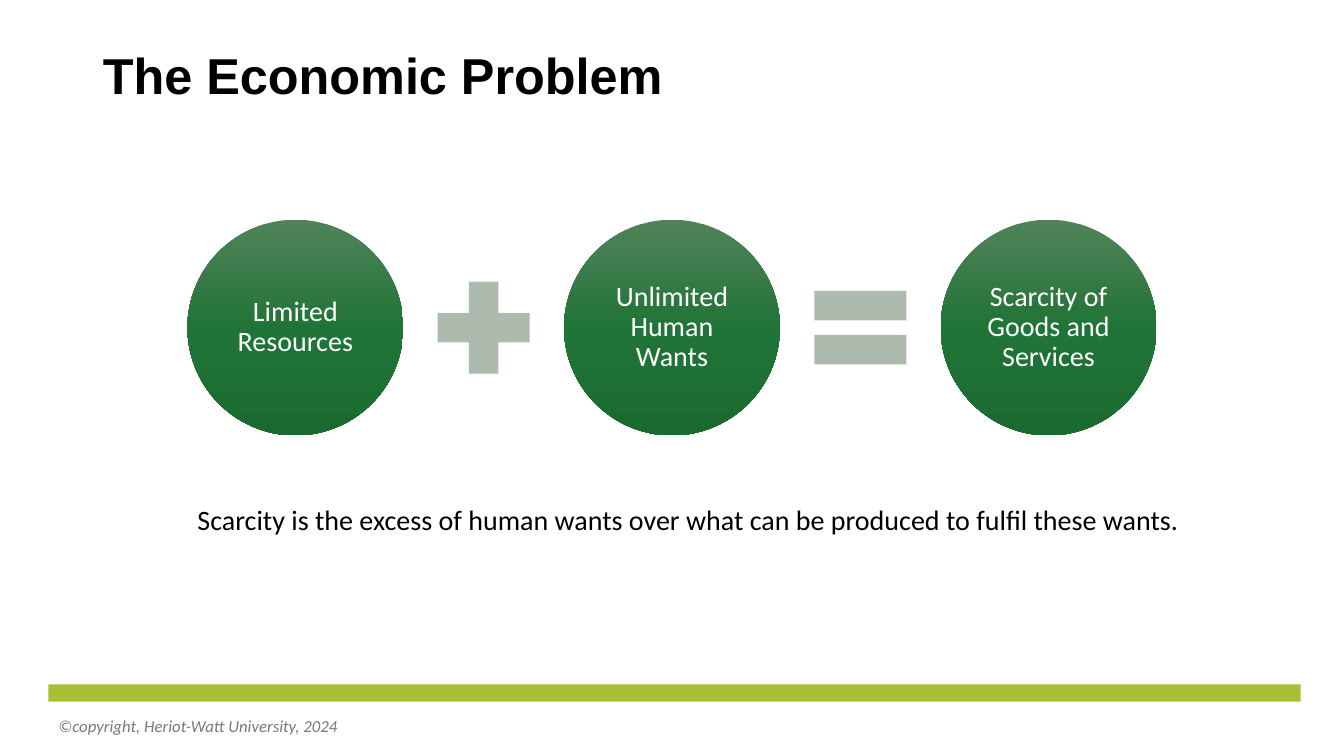
from copy import deepcopy

from pptx import Presentation
from pptx.dml.color import RGBColor
from pptx.enum.shapes import MSO_SHAPE
from pptx.enum.text import MSO_ANCHOR, MSO_AUTO_SIZE, PP_ALIGN
from pptx.util import Inches, Pt

OVAL, RECTANGLE = MSO_SHAPE.OVAL, MSO_SHAPE.RECTANGLE
PLUS, EQUALS = MSO_SHAPE.MATH_PLUS, MSO_SHAPE.MATH_EQUAL
MIDDLE, TOP = MSO_ANCHOR.MIDDLE, MSO_ANCHOR.TOP
LEFT, CENTER = PP_ALIGN.LEFT, PP_ALIGN.CENTER
NO_AUTOFIT = MSO_AUTO_SIZE.NONE

TITLE_ONLY = 5
WIDTH, HEIGHT = 13.33, 7.5
COLORS = {
    "title": "000000",
    "body": "000000",
    "term": "FFFFFF",
    "operator": "ADBBAF",
    "bar": "A8BF33",
    "copyright": "797979",
}
TERM_GRADIENT = [(0, "51825A"), (0.5, "217437"), (1, "1A6A30")]
TERMS = ["Limited Resources", "Unlimited Human Wants", "Scarcity of Goods and Services"]
OPERATORS = [PLUS, EQUALS]


def write(shape, text, size, color, font="Calibri", align=LEFT, anchor=MIDDLE,
          spacing=1.0, bold=False, italic=False):
    frame = shape.text_frame
    frame.text = text
    frame.word_wrap = True
    frame.auto_size = NO_AUTOFIT
    frame.vertical_anchor = anchor
    paragraph = frame.paragraphs[0]
    paragraph.alignment = align
    paragraph.line_spacing = spacing
    style = paragraph.runs[0].font
    style.name, style.size = font, Pt(size)
    style.bold, style.italic = bold, italic
    style.color.rgb = RGBColor.from_string(COLORS[color])


def add_plain_shape(slide, preset, box):
    shape = slide.shapes.add_shape(preset, *map(Inches, box))
    shape.shadow.inherit = False
    shape.line.fill.background()
    return shape


def add_solid_shape(slide, preset, box, color):
    shape = add_plain_shape(slide, preset, box)
    shape.fill.solid()
    shape.fill.fore_color.rgb = RGBColor.from_string(COLORS[color])


def add_text(slide, box, text, size, color, **style):
    write(slide.shapes.add_textbox(*map(Inches, box)), text, size, color, **style)


def add_footer(slide, left, top, width, height):
    bar_height = 0.28 * height
    add_solid_shape(slide, RECTANGLE, (left, top, width, bar_height), "bar")
    add_text(slide, (left, top + 0.35 * height, 0.36 * width, 0.65 * height),
             "©copyright, Heriot-Watt University, 2024", 12, "copyright", italic=True)


def add_title(slide, left, top, width, height):
    title = slide.shapes.title
    title.left, title.top, title.width, title.height = map(
        Inches, (left, top, width, height))
    write(title, "The Economic Problem", 36, "title", font="Arial",
          spacing=0.9, bold=True)


def add_term(slide, box, text):
    circle = add_plain_shape(slide, OVAL, box)
    circle.fill.gradient()
    circle.fill.gradient_angle = 270
    stops = circle.fill.gradient_stops
    first = stops[0]._gs
    first.addnext(deepcopy(first))
    for stop, (position, color) in zip(circle.fill.gradient_stops, TERM_GRADIENT):
        stop.position = position
        stop.color.rgb = RGBColor.from_string(color)
    frame = circle.text_frame
    frame.margin_left = frame.margin_right = Inches(0.03)
    frame.margin_top = frame.margin_bottom = Inches(0.03)
    write(circle, text, 20, "term", align=CENTER, spacing=0.9)


def add_equation(slide, left, top, width, diameter):
    pitch = (width - diameter) / (len(TERMS) - 1)
    for column, term in enumerate(TERMS):
        add_term(slide, (left + column * pitch, top, diameter, diameter), term)
    side = 0.58 * diameter
    offset = (pitch + diameter - side) / 2
    for column, operator in enumerate(OPERATORS):
        box = (left + column * pitch + offset, top + (diameter - side) / 2, side, side)
        add_solid_shape(slide, operator, box, "operator")


def main():
    deck = Presentation()
    deck.slide_width, deck.slide_height = Inches(WIDTH), Inches(HEIGHT)
    slide = deck.slides.add_slide(deck.slide_layouts[TITLE_ONLY])
    add_footer(slide, 0.48, 6.79, 12.42, 0.61)
    add_title(slide, 0.92, 0.49, 11.5, 0.57)
    add_equation(slide, 1.86, 2.18, 9.61, 2.14)
    add_text(slide, (1.86, 4.94, 9.94, 0.91),
             "Scarcity is the excess of human wants over what can be produced "
             "to fulfil these wants.", 20, "body", anchor=TOP)
    deck.save("out.pptx")


if __name__ == "__main__":
    main()
